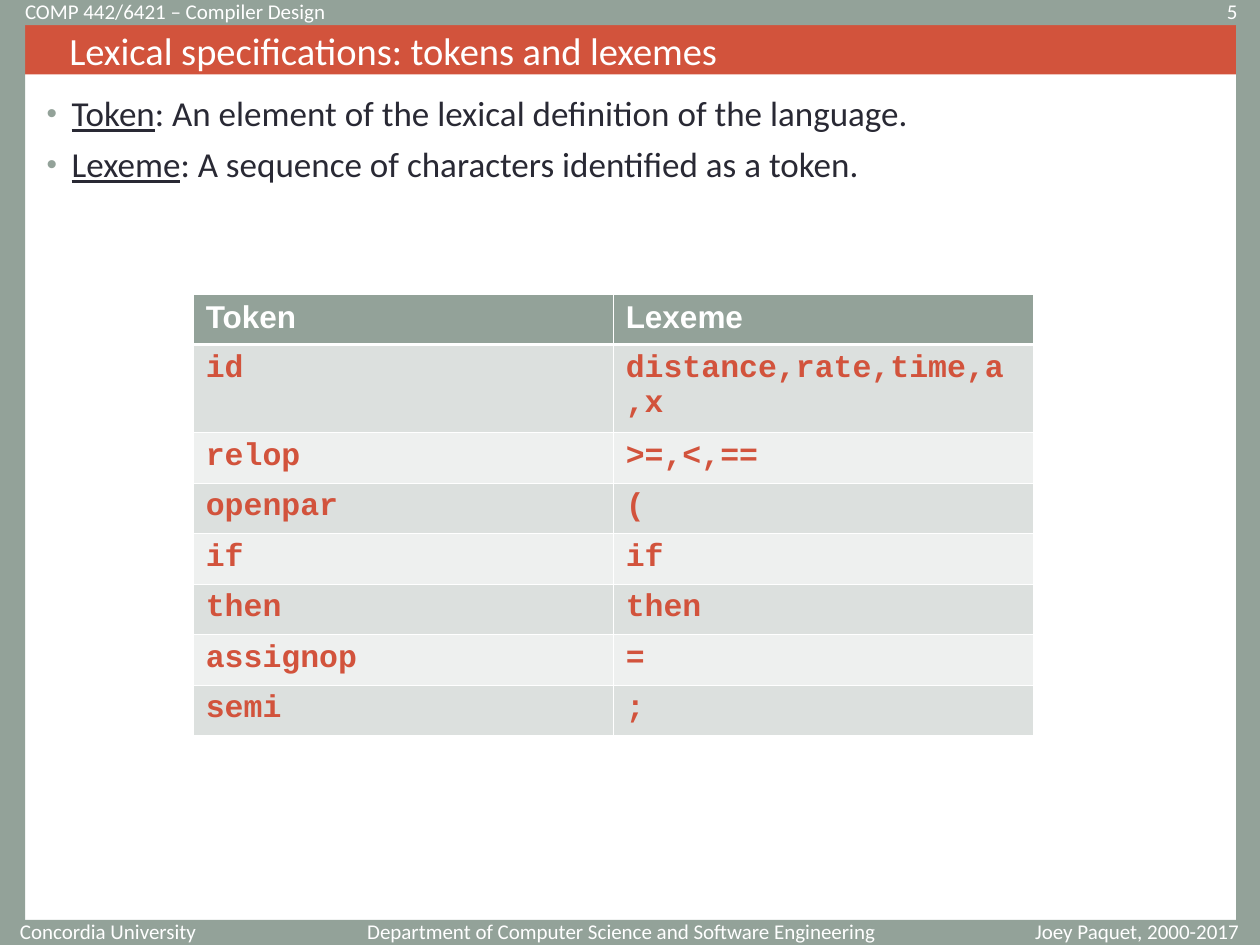
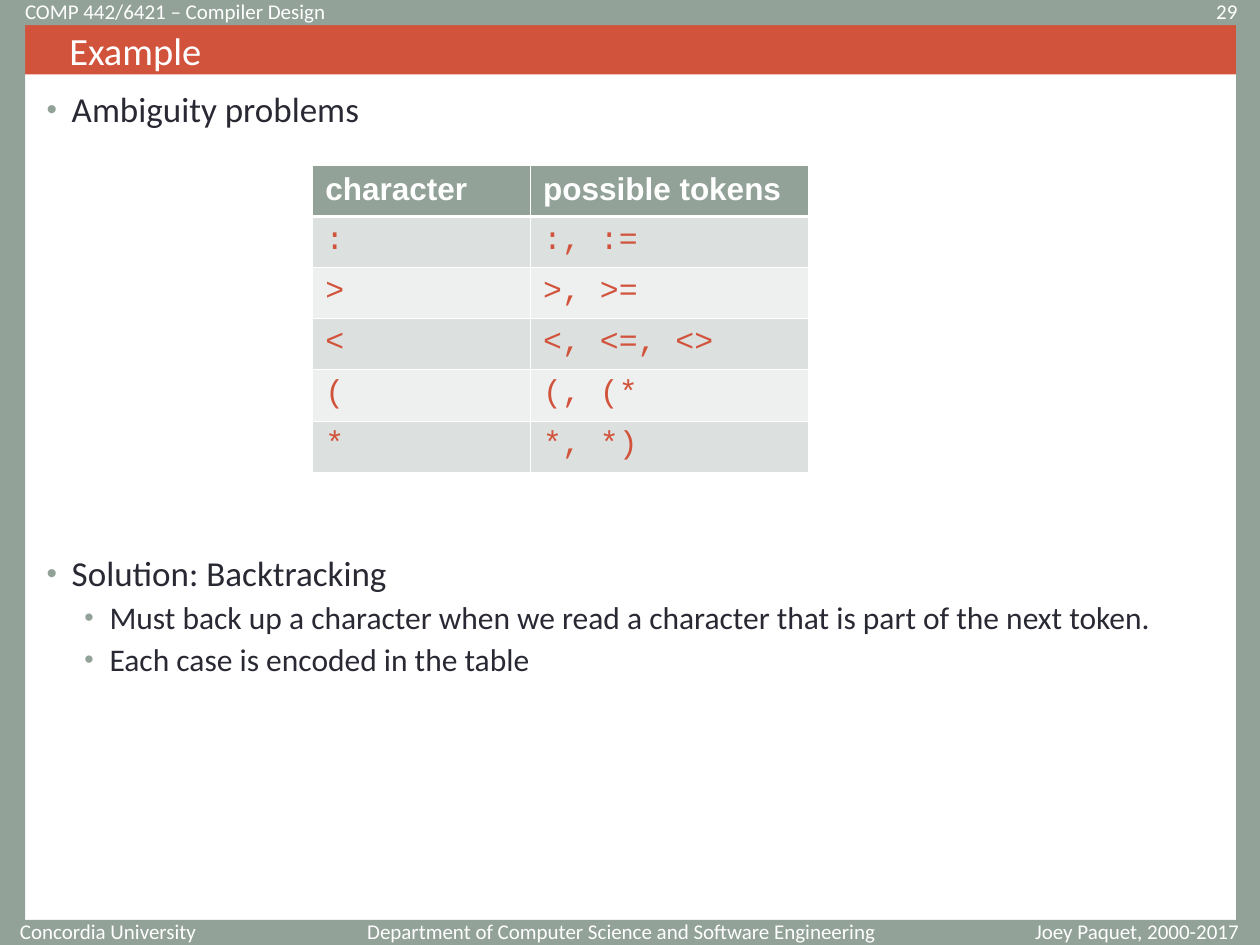
from dataclasses import dataclass

from lxml import etree
from pptx import Presentation
from pptx.dml.color import RGBColor
from pptx.enum.shapes import MSO_SHAPE
from pptx.enum.text import MSO_ANCHOR, MSO_AUTO_SIZE, PP_ALIGN
from pptx.oxml.ns import qn
from pptx.util import Pt

RECTANGLE = MSO_SHAPE.RECTANGLE
MIDDLE = MSO_ANCHOR.MIDDLE
NO_AUTOFIT = MSO_AUTO_SIZE.NONE
LEFT, CENTER, RIGHT = PP_ALIGN.LEFT, PP_ALIGN.CENTER, PP_ALIGN.RIGHT
TITLE_ONLY = 5


@dataclass(frozen=True)
class Theme:
    frame: str = "93A299"
    accent: str = "D2533C"
    ink: str = "292934"
    white: str = "FFFFFF"
    row_fills: tuple = ("DCE0DE", "EEF0EF")
    text_font: str = "Calibri"
    header_font: str = "Arial"
    code_font: str = "Courier New"
    title_size: float = 22
    body_sizes: tuple = (20, 18)
    table_size: float = 18
    margin_size: float = 12
    thin_border: float = 0.45
    header_border: float = 1.47


THEME = Theme()
WIDTH, HEIGHT, BAND = 720, 540, 14.4

FRAME_BANDS = [
    (0, 0, WIDTH, BAND),
    (0, HEIGHT - BAND, WIDTH, BAND),
    (0, 0, BAND, HEIGHT),
    (706.3, 0, 13.7, HEIGHT),
]
TITLE_BOX = (BAND, BAND, 692.3, 28.1)
BODY_BOX = (19.5, 49, 680.4, 470.9)

# Text, left, top, width, alignment
MARGIN_TEXTS = [
    ("COMP 442/6421 – Compiler Design", 7.2, 2.2, 403, LEFT),
    ("Concordia University", 2.2, 527.8, 117, RIGHT),
    ("Department of Computer Science and Software Engineering",
     201.6, 527.8, 306, RIGHT),
    ("Joey Paquet, 2000-2017", 575.3, 527.8, 149, CENTER),
]
PAGE_NUMBER_LEFT, PAGE_NUMBER_TOP, PAGE_NUMBER_WIDTH = 630, 2.2, 84.2
MARGIN_TEXT_HEIGHT = 8.6

TOKEN_ROWS = [
    ("Token", "Lexeme"),
    ("id", "distance,rate,time,a,x"),
    ("relop", ">=,<,=="),
    ("openpar", "("),
    ("if", "if"),
    ("then", "then"),
    ("assignop", "="),
    ("semi", ";"),
]
AMBIGUITY_ROWS = [
    ("character", "possible tokens"),
    (":", ":, :="),
    (">", ">, >="),
    ("<", "<, <=, <>"),
    ("(", "(, (*"),
    ("*", "*, *)"),
]


def color(value):
    return RGBColor.from_string(value)


def box_points(*lengths):
    return [Pt(length) for length in lengths]


def style_font(font, name, size, font_color, bold=False):
    font.name = name
    font.size = Pt(size)
    font.bold = bold
    font.color.rgb = color(font_color)


def add_band(page, bounds):
    band = page.shapes.add_shape(RECTANGLE, *box_points(*bounds))
    band.shadow.inherit = False
    band.fill.solid()
    band.fill.fore_color.rgb = color(THEME.frame)
    band.line.fill.background()


def add_margin_text(page, text, left, top, width, align):
    box = page.shapes.add_textbox(*box_points(left, top, width, MARGIN_TEXT_HEIGHT))
    frame = box.text_frame
    frame.word_wrap = True
    frame.vertical_anchor = MIDDLE
    para = frame.paragraphs[0]
    para.text = text
    para.alignment = align
    style_font(para.font, THEME.text_font, THEME.margin_size, THEME.white)


def set_title(page, text):
    title = page.shapes.title
    title.left, title.top, title.width, title.height = box_points(*TITLE_BOX)
    title.fill.solid()
    title.fill.fore_color.rgb = color(THEME.accent)
    frame = title.text_frame
    frame.auto_size = NO_AUTOFIT
    frame.vertical_anchor = MIDDLE
    para = frame.paragraphs[0]
    para.text = text
    para.alignment = LEFT
    para._p.get_or_add_pPr().set("marL", str(Pt(18)))
    style_font(para.font, THEME.text_font, THEME.title_size, THEME.white)


def add_page(deck, title, number):
    """Add a slide with its title, frame bands and margin texts."""
    page = deck.slides.add_slide(deck.slide_layouts[TITLE_ONLY])
    for bounds in FRAME_BANDS:
        add_band(page, bounds)
    set_title(page, title)
    for margin_text in MARGIN_TEXTS:
        add_margin_text(page, *margin_text)
    add_margin_text(page, str(number), PAGE_NUMBER_LEFT, PAGE_NUMBER_TOP,
                    PAGE_NUMBER_WIDTH, RIGHT)
    return page


def set_bullet(para, left_margin):
    props = para._p.get_or_add_pPr()
    props.set("marL", str(Pt(left_margin)))
    props.set("indent", str(Pt(-14.4)))
    bullet_color = etree.SubElement(props, qn("a:buClr"))
    etree.SubElement(bullet_color, qn("a:srgbClr"), val=THEME.frame)
    etree.SubElement(props, qn("a:buSzPct"), val="85000")
    etree.SubElement(props, qn("a:buFont"), typeface="Arial")
    etree.SubElement(props, qn("a:buChar"), char="•")


def add_bullets(page, bullets, line_spacing=1.0):
    """Fill the body; each bullet is (level, underlined term, text, space before)."""
    frame = page.shapes.add_textbox(*box_points(*BODY_BOX)).text_frame
    frame.word_wrap = True
    for index, (level, term, text, space_before) in enumerate(bullets):
        para = frame.add_paragraph() if index else frame.paragraphs[0]
        para.level = level
        para.line_spacing = line_spacing
        para.space_before = Pt(space_before)
        set_bullet(para, (14.4, 36)[level])
        style_font(para.font, THEME.text_font, THEME.body_sizes[level], THEME.ink)
        if term:
            span = para.add_run()
            span.text = term
            span.font.underline = True
        para.add_run().text = text


def set_borders(cell, top, bottom):
    props = cell._tc.get_or_add_tcPr()
    thin = THEME.thin_border
    for side, width in (("L", thin), ("R", thin), ("T", top), ("B", bottom)):
        line = etree.SubElement(props, qn(f"a:ln{side}"), w=str(Pt(width)))
        fill = etree.SubElement(line, qn("a:solidFill"))
        etree.SubElement(fill, qn("a:srgbClr"), val=THEME.white)


def fill_cell(cell, text, row, bold_code):
    thin, thick = THEME.thin_border, THEME.header_border
    set_borders(cell, thick if row == 1 else thin, thick if row == 0 else thin)
    cell.fill.solid()
    para = cell.text_frame.paragraphs[0]
    para.text = text
    if row == 0:
        fill = THEME.frame
        style_font(para.font, THEME.header_font, THEME.table_size, THEME.white, True)
    else:
        fill = THEME.row_fills[(row - 1) % 2]
        style_font(para.font, THEME.code_font, THEME.table_size, THEME.accent, bold_code)
    cell.fill.fore_color.rgb = color(fill)


def add_code_table(page, left, top, widths, heights, rows, bold_code=False):
    graphic = page.shapes.add_table(
        len(rows), len(widths), *box_points(left, top, sum(widths), sum(heights)))
    table = graphic.table
    for column, width in zip(table.columns, widths):
        column.width = Pt(width)
    for row, (texts, height) in enumerate(zip(rows, heights)):
        table.rows[row].height = Pt(height)
        for column, text in enumerate(texts):
            fill_cell(table.cell(row, column), text, row, bold_code)


def add_tokens_page(deck):
    page = add_page(deck, "Lexical specifications: tokens and lexemes", 5)
    add_bullets(page, [
        (0, "Token", ": An element of the lexical definition of the language.", 5),
        (0, "Lexeme", ": A sequence of characters identified as a token.", 5),
    ])
    add_code_table(page, 110.4, 168, [240, 240], [27.4, 49] + [28.15] * 6,
                   TOKEN_ROWS, bold_code=True)


def add_ambiguity_page(deck):
    page = add_page(deck, "Example", 29)
    add_bullets(page, [
        (0, "", "Ambiguity problems", 5),
        (0, "", "Solution: Backtracking", 244),
        (1, "", "Must back up a character when we read a character "
                "that is part of the next token.", 4.5),
        (1, "", "Each case is encoded in the table", 4.5),
    ], line_spacing=0.9)
    add_code_table(page, 178.7, 94.5, [124.5, 158.7],
                   [29.2] * len(AMBIGUITY_ROWS), AMBIGUITY_ROWS)


def main():
    deck = Presentation()
    deck.slide_width, deck.slide_height = Pt(WIDTH), Pt(HEIGHT)
    add_tokens_page(deck)
    add_ambiguity_page(deck)
    deck.save("out.pptx")


if __name__ == "__main__":
    main()
